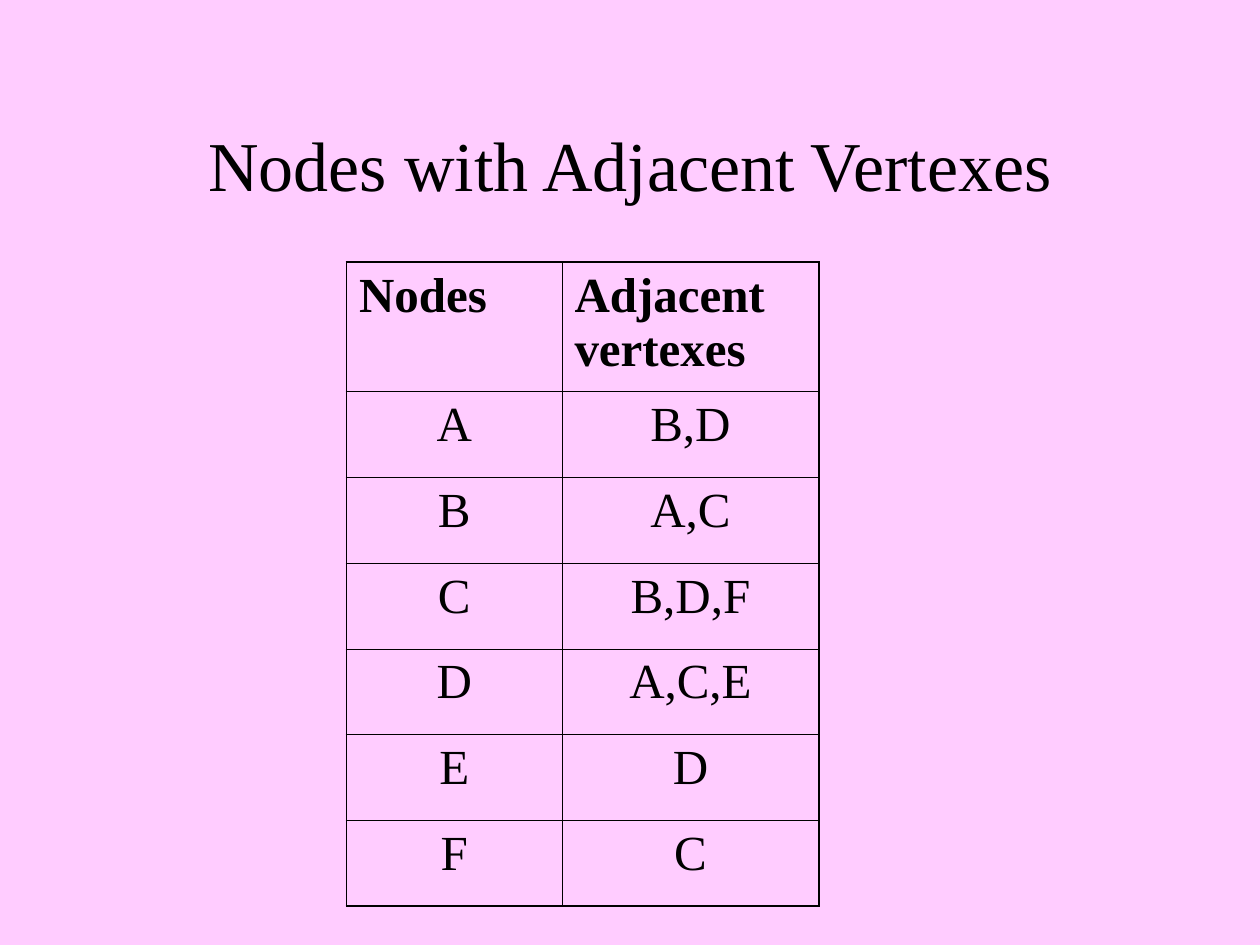
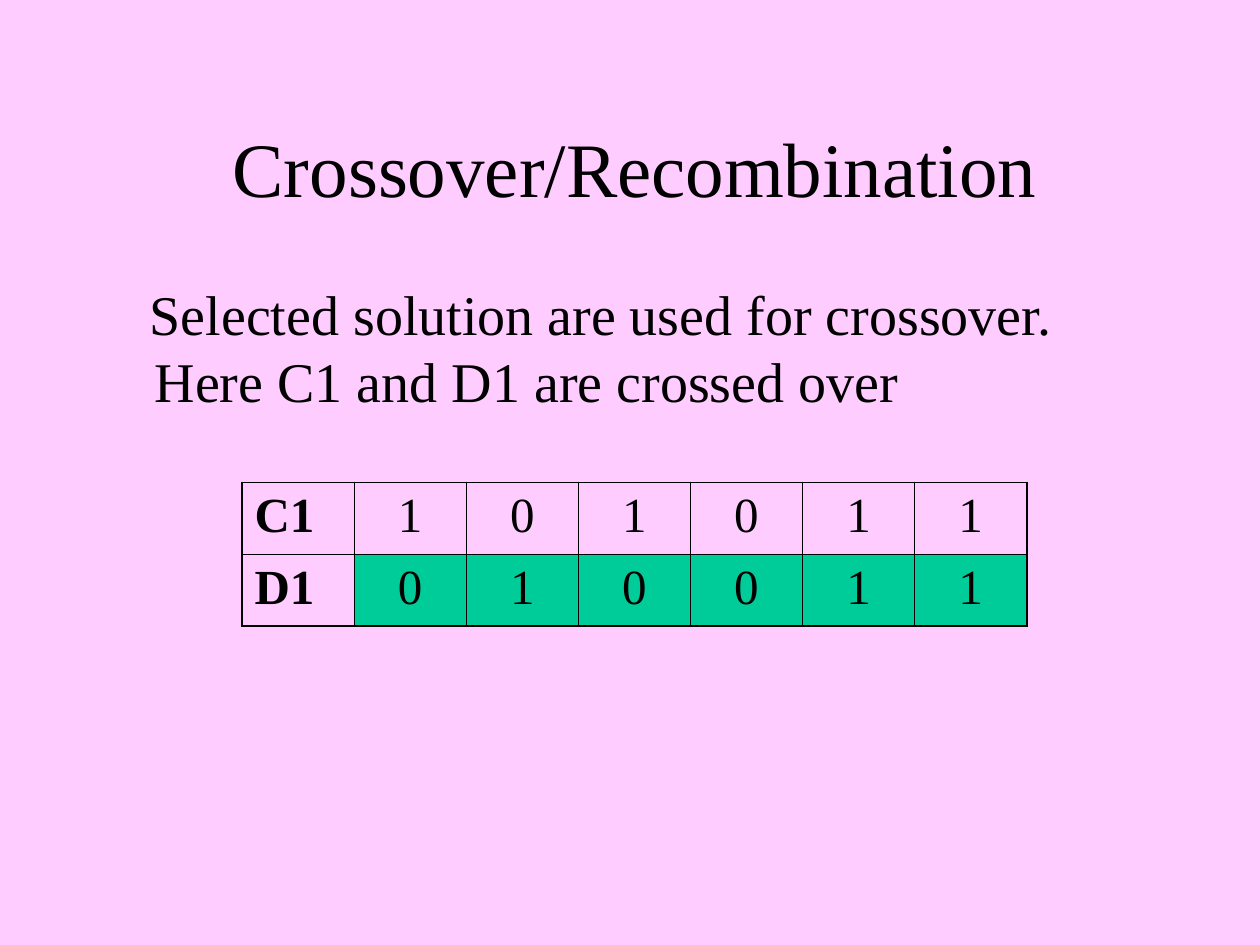
from lxml import etree
from pptx import Presentation
from pptx.dml.color import RGBColor
from pptx.enum.text import MSO_ANCHOR, PP_ALIGN
from pptx.oxml.ns import qn
from pptx.util import Inches, Pt

COLORS = {"background": "FFCCFF", "ink": "000000", "highlight": "00CC99"}
FONT = "Times New Roman"
TITLE_ONLY = 5
OUTER, INNER = 1.08, 0.45  # table line widths in points

ADJACENCY = [
    ("Nodes", "Adjacent vertexes"),
    ("A", "B,D"),
    ("B", "A,C"),
    ("C", "B,D,F"),
    ("D", "A,C,E"),
    ("E", "D"),
    ("F", "C"),
]
CHROMOSOMES = [("C1", *"101011"), ("D1", *"010011")]


def rgb(name):
    return RGBColor.from_string(COLORS[name])


def write(tf, text, size, bold=False, **paragraph_format):
    """Set the single paragraph of a text frame."""
    p = tf.paragraphs[0]
    for name, value in paragraph_format.items():
        setattr(p, name, value)
    r = p.add_run()
    r.text = text
    for name, value in {"name": FONT, "size": Pt(size), "bold": bold}.items():
        setattr(r.font, name, value)
    r.font.color.rgb = rgb("ink")
    return p


def add_titled_slide(prs, title, left, top, size):
    s = prs.slides.add_slide(prs.slide_layouts[TITLE_ONLY])
    sp = s.shapes.title
    sp.left, sp.top = Inches(left), Inches(top)
    sp.width, sp.height = Inches(8.5), Inches(1.25)
    sp.text_frame.vertical_anchor = MSO_ANCHOR.MIDDLE
    write(sp.text_frame, title, size, alignment=PP_ALIGN.CENTER)
    return s


def add_body(s, text, left, top, width, height):
    """Add body text whose first line starts slightly left of the rest."""
    sp = s.shapes.add_textbox(*map(Inches, (left, top, width, height)))
    sp.text_frame.word_wrap = True
    p = write(sp.text_frame, text, 32, space_before=Pt(8))
    pPr = p._p.get_or_add_pPr()
    pPr.set("marL", str(Inches(0.38)))
    pPr.set("indent", str(Inches(-0.04)))


def set_borders(cell, widths):
    tcPr = cell._tc.get_or_add_tcPr()
    for side, width in widths.items():
        ln = etree.SubElement(tcPr, qn(f"a:ln{side}"), w=str(Pt(width)))
        fill = etree.SubElement(ln, qn("a:solidFill"))
        etree.SubElement(fill, qn("a:srgbClr"), val=COLORS["ink"])


def add_grid(s, rows, left, top, col_widths, row_heights, is_label, is_filled):
    """Add a ruled table; is_label and is_filled take a row and column index."""
    frame = s.shapes.add_table(
        len(rows), len(col_widths), Inches(left), Inches(top),
        Inches(sum(col_widths)), Inches(sum(row_heights)))
    table = frame.table
    table.first_row = table.horz_banding = False
    for col, width in zip(table.columns, col_widths):
        col.width = Inches(width)
    for row, height in zip(table.rows, row_heights):
        row.height = Inches(height)

    last_row, last_col = len(rows) - 1, len(col_widths) - 1
    for i, values in enumerate(rows):
        for j, text in enumerate(values):
            cell = table.cell(i, j)
            on_edge = {"L": j == 0, "R": j == last_col,
                       "T": i == 0, "B": i == last_row}
            set_borders(cell, {side: OUTER if edge else INNER
                               for side, edge in on_edge.items()})
            if is_filled(i, j):
                cell.fill.solid()
                cell.fill.fore_color.rgb = rgb("highlight")
            else:
                cell.fill.background()
            label = is_label(i, j)
            write(cell.text_frame, text, 28, bold=label, space_before=Pt(7),
                  alignment=PP_ALIGN.LEFT if label else PP_ALIGN.CENTER)


def main():
    prs = Presentation()
    prs.slide_width, prs.slide_height = Inches(10), Inches(7.5)
    background = prs.slide_master.background.fill
    background.solid()
    background.fore_color.rgb = rgb("background")

    s = add_titled_slide(prs, "Nodes with Adjacent Vertexes", 0.75, 0.67, 40)
    add_grid(s, ADJACENCY, 2.75, 2.08, [1.71, 2.04], [1.03] + [0.68] * 6,
             is_label=lambda i, j: i == 0, is_filled=lambda i, j: False)

    s = add_titled_slide(prs, "Crossover/Recombination", 0.79, 0.7, 44)
    add_body(s, "Selected solution are used for crossover. "
                "Here C1 and D1 are crossed over", 0.75, 2.17, 8.5, 4.5)
    add_grid(s, CHROMOSOMES, 1.92, 3.83, [0.89] * 7, [0.57] * 2,
             is_label=lambda i, j: j == 0,
             is_filled=lambda i, j: i == 1 and j > 0)

    prs.save("out.pptx")


if __name__ == "__main__":
    main()
